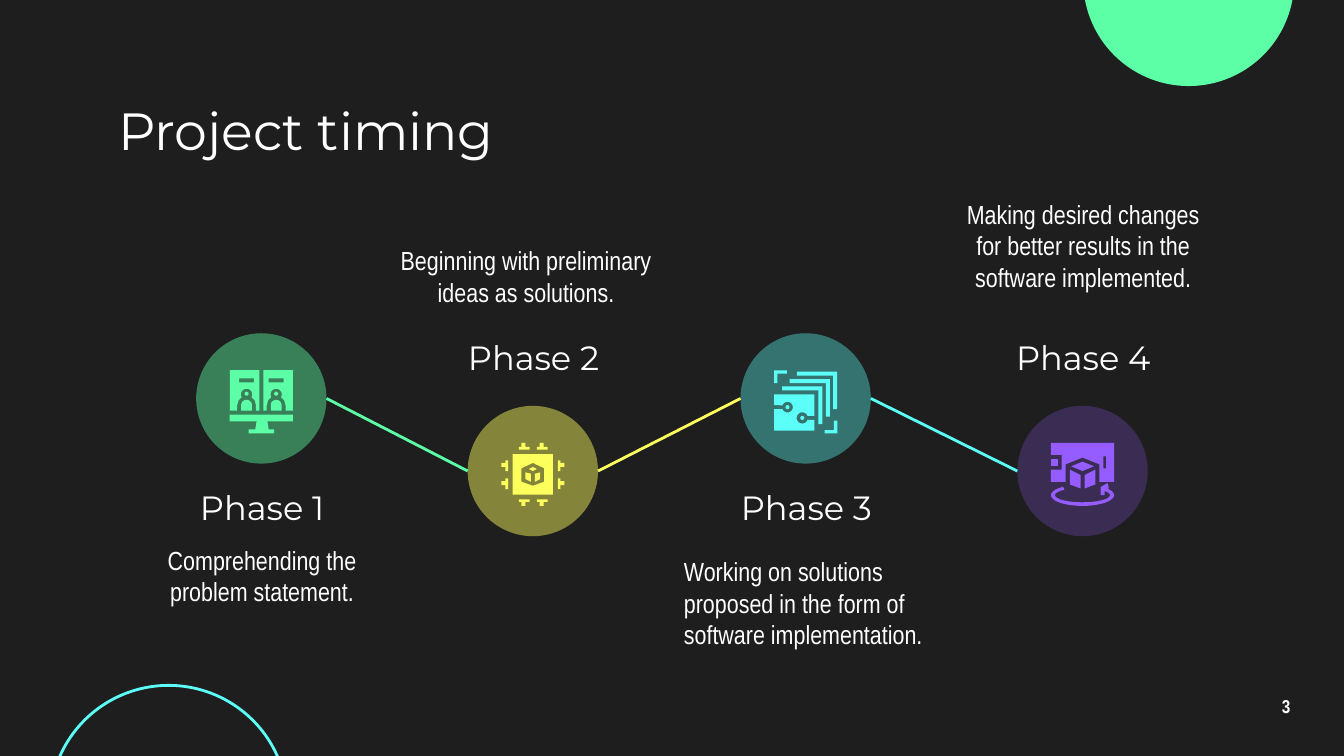
import math

import pptx
import pptx.dml.color
import pptx.enum.shapes
import pptx.enum.text
import pptx.oxml.ns
import pptx.oxml.xmlchemy
import pptx.util

COLORS = {
    "background": "1E1E1E",
    "text": "FFFFFF",
    "green": "5CFFA6",
    "yellow": "FDFF5C",
    "cyan": "5CFFF8",
    "purple": "955CFF",
}
HEADING_FONT = "Montserrat"
BODY_FONT = "Arial Narrow"

CELL = pptx.util.Inches(0.1)
COLUMNS, ROWS = 100, 56.25
ICON_SIZE = 47
ICON_UNIT = CELL / 10
DISC = 9.7
DISC_INSET = 5.2
LABEL_WIDTH, LABEL_HEIGHT = 20.2, 4.6
UPPER_DISC, LOWER_DISC = 24.8, 30.2
UPPER_LABEL, LOWER_LABEL = 24.3, 35.4


def cells(*values):
    return [pptx.util.Emu(round(value * CELL)) for value in values]


def rgb(name):
    return pptx.dml.color.RGBColor.from_string(COLORS[name])


def arc(center_x, center_y, radius_x, radius_y, start, stop, steps=24):
    angles = [math.radians(start + (stop - start) * step / steps) for step in range(steps + 1)]
    return [(center_x + radius_x * math.cos(angle), center_y + radius_y * math.sin(angle))
            for angle in angles]


def rectangle(left, top, right, bottom):
    return [(left, top), (left, bottom), (right, bottom), (right, top)]


def mirror_x(points):
    return [(ICON_SIZE - x, y) for x, y in points]


def mirror_y(points):
    return [(x, ICON_SIZE - y) for x, y in points]


def move(points, right, down):
    return [(x + right, y + down) for x, y in points]


def screen_icon():
    stand = [(0, 33), (0, 38), (20, 38), (19, 44), (14, 44), (14, 47),
             (33, 47), (33, 44), (29, 44), (28, 38), (47, 38), (47, 33)]
    panel = ([(0, 0), (0, 30), (5.5, 30), (5.5, 26), (6.5, 22.5)]
             + arc(12.5, 18, 4.2, 4.2, 150, 390)
             + [(18.5, 22.5), (19.5, 26), (19.5, 30), (22, 30), (22, 0)])
    caption = rectangle(7, 6, 18, 9)
    head = arc(12.5, 17.5, 1.5, 1.5, 0, 360)
    bust = [(8.5, 30)] + arc(12.5, 26, 4, 4, 180, 360) + [(16.5, 30)]
    half = [[panel, caption], [head], [bust]]
    return [[stand]] + half + [[mirror_x(points) for points in part] for part in half]


def chip_icon():
    pin = [(42, 13), (42, 21), (44, 21), (44, 18), (47, 18), (47, 15), (44, 15), (44, 13)]
    parts = []
    for shift in (0, 13.5):
        side = move(pin, 0, shift)
        bottom = [(y, x) for x, y in side]
        parts += [[side], [mirror_x(side)], [bottom], [mirror_y(bottom)]]
    face = [(18, 22), (18, 27), (22, 29), (22, 23)]
    lid = [(23.5, 18), (20.5, 19.5), (23.5, 21), (26.5, 19.5)]
    opening = [(23.5, 15), (32, 19), (32, 29), (23.5, 32), (15, 29), (15, 19)]
    body = rectangle(8.5, 8.5, 38.5, 38.5)
    return parts + [[face], [mirror_x(face)], [lid], [body, opening]]


def layers_icon():
    sheet = [(17, 1), (17, 4), (44, 4), (44, 29), (47, 29), (47, 1)]
    corner = [(0, 0), (0, 9.5), (2.5, 9.5), (2.5, 2.5), (9.5, 2.5), (9.5, 0)]
    front = ([(0, 18), (0, 26)] + arc(10, 27.5, 4, 4, 200, 520)
             + [(0, 29), (0, 45), (30, 45), (30, 37)]
             + arc(21, 35.5, 4.2, 4.2, 20, 340) + [(30, 34), (30, 18)])
    dots = [arc(x, y, 1.5, 1.5, 0, 360) for x, y in ((10, 27.5), (21, 35.5))]
    sheets = [[move(sheet, -5.5 * step, 5.5 * step)] for step in range(3)]
    return sheets + [[corner], [mirror_x(mirror_y(corner))], [front]] + [[dot] for dot in dots]


def orbit_icon():
    screen = [(0, 0), (0, 9), (8, 9), (8, 20), (0, 20), (0, 29), (11, 29), (11, 16),
              (23.5, 11), (36, 16), (36, 29), (47, 29), (47, 0)]
    slot = rectangle(39, 10, 41, 19)
    lid = [(23.5, 14), (15, 17.5), (23.5, 21), (32, 17.5)]
    face = [(14, 20), (14, 31), (22, 34), (22, 24)]
    ring = ([(42, 30), (37, 33), (37, 39), (40, 39), (40, 36)]
            + arc(23.5, 39, 20.5, 5.3, -25, 229)
            + arc(23.5, 39, 23.5, 8, 232, -35) + [(43, 33)])
    return [[rectangle(0, 12, 5, 17)], [ring], [lid], [face], [mirror_x(face)], [screen, slot]]


def set_opacity(shape, percent):
    color = shape._element.spPr.find(".//" + pptx.oxml.ns.qn("a:srgbClr"))
    alpha = pptx.oxml.xmlchemy.OxmlElement("a:alpha")
    alpha.set("val", str(percent * 1000))
    color.append(alpha)


def add_disc(slide, left, top, size, fill=None, line=None, opacity=None):
    shape = slide.shapes.add_shape(
        pptx.enum.shapes.MSO_SHAPE.OVAL, *cells(left, top, size, size))
    shape.shadow.inherit = False
    if fill:
        shape.fill.solid()
        shape.fill.fore_color.rgb = rgb(fill)
    else:
        shape.fill.background()
    if line:
        shape.line.color.rgb = rgb(line)
        shape.line.width = pptx.util.Pt(1.5)
    else:
        shape.line.fill.background()
    if opacity:
        set_opacity(shape, opacity)


def add_icon(slide, left, top, parts, color):
    group = slide.shapes.add_group_shape()
    for contours in parts:
        outlines = [[(x * ICON_UNIT, y * ICON_UNIT) for x, y in points] for points in contours]
        builder = group.shapes.build_freeform(*outlines[0][0])
        builder.add_line_segments(outlines[0][1:])
        for outline in outlines[1:]:
            builder.move_to(*outline[0])
            builder.add_line_segments(outline[1:])
        shape = builder.convert_to_shape(*cells(left, top))
        shape.shadow.inherit = False
        shape.fill.solid()
        shape.fill.fore_color.rgb = rgb(color)
        shape.line.fill.background()


def add_link(slide, start, end, color):
    connector = slide.shapes.add_connector(
        pptx.enum.shapes.MSO_CONNECTOR.STRAIGHT, *cells(*start, *end))
    connector.line.color.rgb = rgb(color)
    connector.line.width = pptx.util.Pt(1.5)
    connector._element.spPr.append(pptx.oxml.xmlchemy.OxmlElement("a:effectLst"))


def write(shape, text, size, font, alignment="CENTER", bold=False):
    frame = shape.text_frame
    frame.text = text
    frame.word_wrap = True
    frame.auto_size = pptx.enum.text.MSO_AUTO_SIZE.NONE
    frame.vertical_anchor = pptx.enum.text.MSO_ANCHOR.MIDDLE
    frame.margin_left = frame.margin_right = frame.margin_top = frame.margin_bottom = CELL
    paragraph = frame.paragraphs[0]
    paragraph.alignment = pptx.enum.text.PP_ALIGN[alignment]
    run = paragraph.runs[0]
    run.font.size = pptx.util.Pt(size)
    run.font.name = font
    run.font.bold = bold
    run.font.color.rgb = rgb("text")
    return paragraph


def add_text(slide, box, *style):
    return write(slide.shapes.add_textbox(*cells(*box)), *style)


def main():
    presentation = pptx.Presentation()
    presentation.slide_width, presentation.slide_height = cells(COLUMNS, ROWS)
    slide = presentation.slides.add_slide(presentation.slide_layouts[5])
    slide.background.fill.solid()
    slide.background.fill.fore_color.rgb = rgb("background")

    add_disc(slide, 80.6, -9.3, 15.7, fill="green")
    add_disc(slide, 3.7, 51, 17.7, line="cyan")
    title = slide.shapes.title
    title.left, title.top, title.width, title.height = cells(7.8, 7.1, 84.4, 5.1)
    write(title, "Project timing", 28, HEADING_FONT, "LEFT")
    number = add_text(slide, (92.7, 51, 6, 3.4), "3", 10, BODY_FONT, "CENTER", True)
    number.line_spacing = 0.8

    phases = [
        (9.4, UPPER_DISC, LOWER_LABEL, "green", 44, screen_icon(), "CENTER",
         (9.4, 40, 20.2, 5.7), "Comprehending the problem statement."),
        (29.6, LOWER_DISC, UPPER_LABEL, "yellow", 46, chip_icon(), "CENTER",
         (28.5, 16.7, 21.3, 7.7), "Beginning with preliminary ideas as solutions."),
        (49.9, UPPER_DISC, LOWER_LABEL, "cyan", 38, layers_icon(), "LEFT",
         (49.9, 40, 22.5, 9.7),
         "Working on solutions proposed in the form of software implementation."),
        (70.5, LOWER_DISC, UPPER_LABEL, "purple", 24, orbit_icon(), "CENTER",
         (70.5, 15.4, 20.2, 5.7),
         "Making desired changes for better results in the software implemented."),
    ]
    for index, phase in enumerate(phases, 1):
        left, top, label_top, color, opacity, icon, alignment, box, description = phase
        disc_left = left + DISC_INSET
        add_disc(slide, disc_left, top, DISC, fill=color, opacity=opacity)
        add_icon(slide, disc_left + 2.5, top + 2.75, icon, color)
        add_text(slide, (left, label_top, LABEL_WIDTH, LABEL_HEIGHT),
                 f"Phase {index}", 18, HEADING_FONT)
        add_text(slide, box, description, 14, BODY_FONT, alignment)
    for current, following in zip(phases, phases[1:]):
        start = (current[0] + DISC_INSET + DISC, current[1] + DISC / 2)
        end = (following[0] + DISC_INSET, following[1] + DISC / 2)
        add_link(slide, start, end, current[3])

    presentation.save("out.pptx")


if __name__ == "__main__":
    main()
